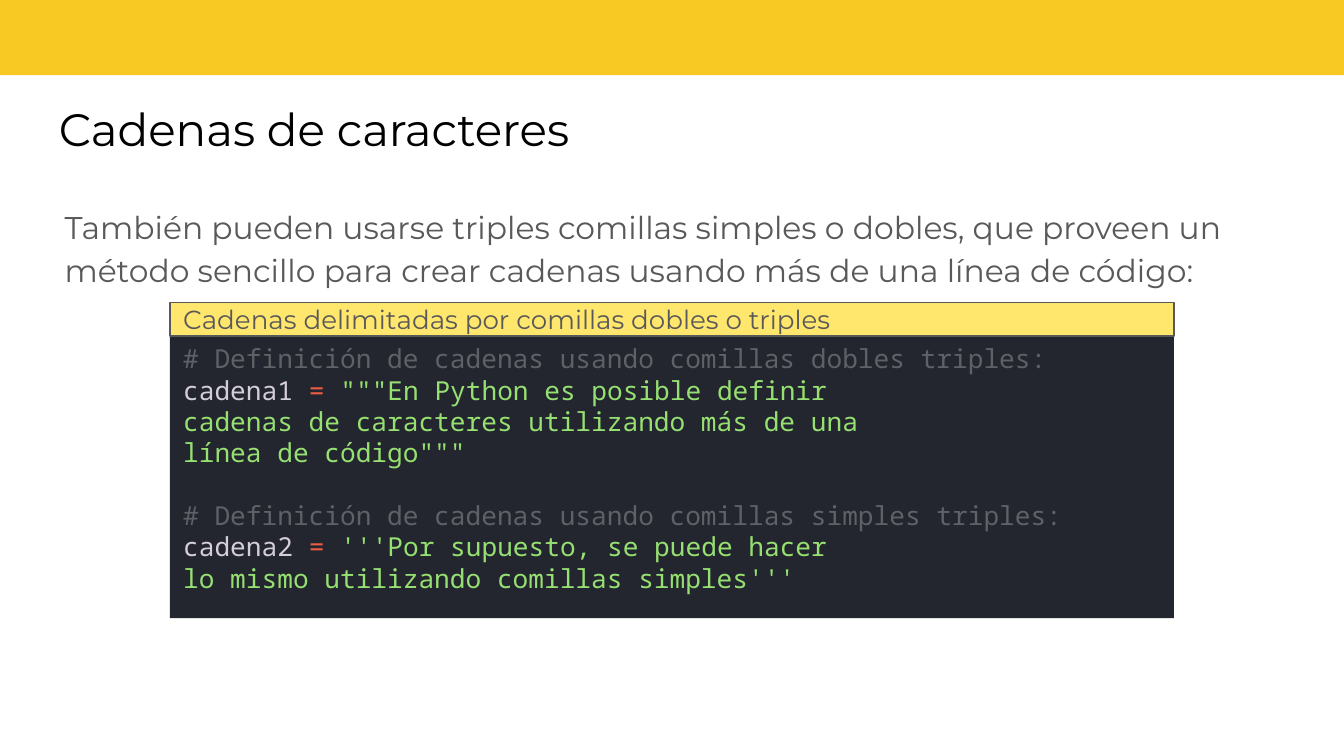
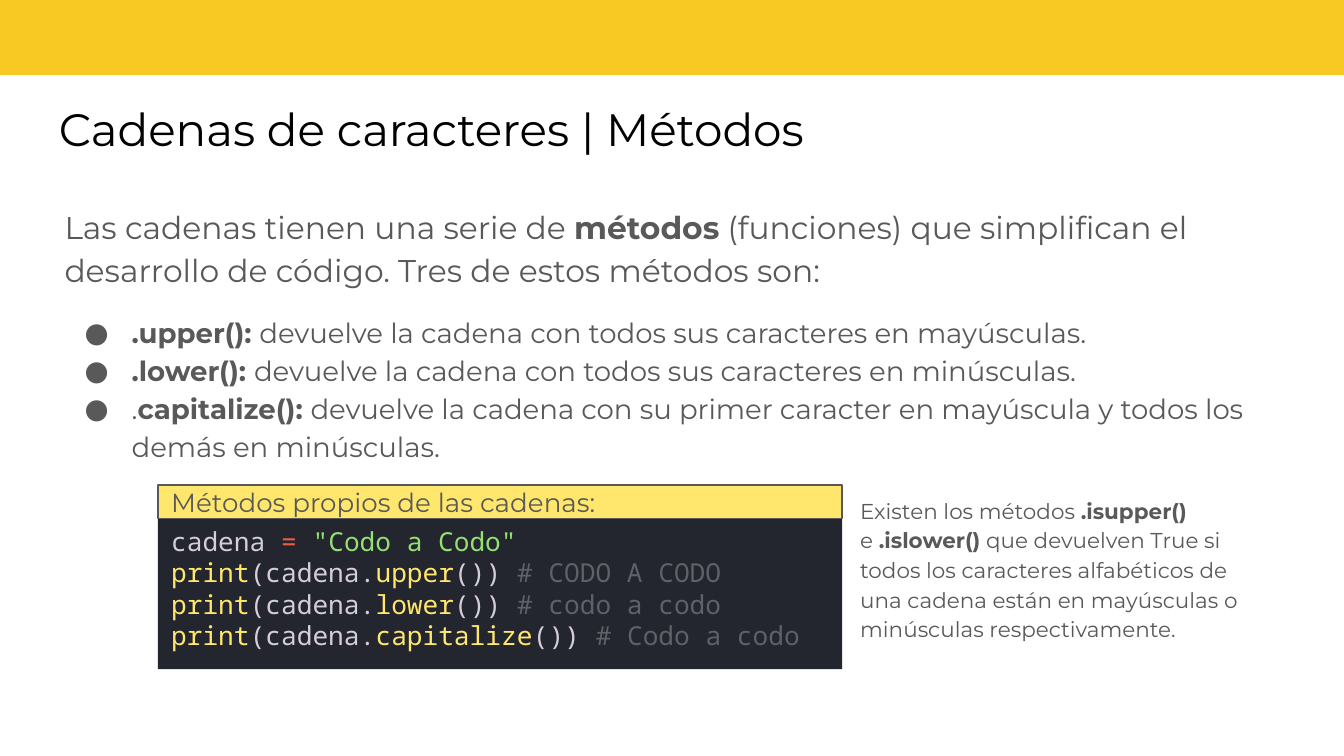
"""Build two lesson slides about Python strings."""
from dataclasses import dataclass
from typing import NamedTuple

from lxml import etree
from pptx import Presentation
from pptx import slide as sl
from pptx import util as u
from pptx.dml import color
from pptx.enum import shapes, text
from pptx.oxml import ns
from pptx.text import text as tx

PX = 4572


@dataclass(frozen=True)
class Theme:
    """Colours, fonts and type sizes of the lesson."""

    band: str = "F8C823"
    title: str = "000000"
    body: str = "595959"
    caption: str = "FFE66D"
    code: str = "23262E"
    comment: str = "5F6167"
    name: str = "D5CED9"
    operator: str = "EE5D43"
    string: str = "96E072"
    function: str = "FFE66D"
    sans: str = "Montserrat"
    mono: str = "Noto Sans Mono"
    title_size: float = 24.3
    body_size: float = 16.8
    bullet_size: float = 14.8
    code_size: float = 14
    note_size: float = 11.5
    leading: float = 1.15


THEME = Theme()


class Box(NamedTuple):
    """A place on the slide, in px."""

    left: int
    top: int
    width: int
    height: int


class Run(NamedTuple):
    """A stretch of text in one style."""

    words: str
    hue: str = THEME.body
    bold: bool = False


class Para(NamedTuple):
    """A paragraph with its size, font and spacing."""

    runs: list[Run]
    size: float
    font: str = THEME.sans
    leading: float | None = THEME.leading
    before: float = 0
    bullet: bool = False


class Listing(NamedTuple):
    """A captioned block of code."""

    caption: str
    box: Box
    lines: list[Para]


BAND = Box(-2, -10, 2006, 122)
TITLE = Box(68, 130, 1860, 126)
BODY = Box(96, 281, 1810, 716)
CAPTION_HEIGHT = 50


def px(length: int) -> u.Emu:
    """Turn px into EMU."""
    return u.Emu(length * PX)


def add_bullet(paragraph: tx._Paragraph) -> None:
    """Give a paragraph a hanging round bullet."""
    props = paragraph._p.get_or_add_pPr()
    props.set("marL", str(px(100)))
    props.set("indent", str(px(-70)))
    hue = etree.SubElement(props, ns.qn("a:buClr"))
    etree.SubElement(hue, ns.qn("a:srgbClr")).set("val", THEME.body)
    etree.SubElement(props, ns.qn("a:buFont")).set("typeface", THEME.sans)
    etree.SubElement(props, ns.qn("a:buChar")).set("char", "●")


def write(frame: tx.TextFrame, paras: list[Para], side: int, edge: int) -> None:
    """Fill a text frame run by run."""
    frame.word_wrap = True
    frame.margin_left = frame.margin_right = px(side)
    frame.margin_top = frame.margin_bottom = px(edge)
    for index, para in enumerate(paras):
        paragraph = frame.add_paragraph() if index else frame.paragraphs[0]
        if para.bullet:
            add_bullet(paragraph)
        paragraph.alignment = text.PP_ALIGN.LEFT
        paragraph.space_before = u.Pt(para.before)
        if para.leading:
            paragraph.line_spacing = para.leading
        for part in para.runs:
            run = paragraph.add_run()
            run.text = part.words
            run.font.name = para.font
            run.font.size = u.Pt(para.size)
            run.font.bold = part.bold
            run.font.color.rgb = color.RGBColor.from_string(part.hue)


def add_text(slide: sl.Slide, box: Box, paras: list[Para], side: int = 0) -> None:
    """Place free text."""
    write(slide.shapes.add_textbox(*map(px, box)).text_frame, paras, side, 20)


def add_panel(slide: sl.Slide, box: Box, fill: str, paras: list[Para],
              border: str | None = None, middle: bool = False) -> None:
    """Place a filled rectangle, with text if there is any."""
    panel = slide.shapes.add_shape(shapes.MSO_SHAPE.RECTANGLE, *map(px, box))
    panel.shadow.inherit = False
    panel.fill.solid()
    panel.fill.fore_color.rgb = color.RGBColor.from_string(fill)
    if border:
        panel.line.color.rgb = color.RGBColor.from_string(border)
        panel.line.width = u.Pt(0.75)
    else:
        panel.line.fill.background()
    anchor = text.MSO_ANCHOR.MIDDLE if middle else text.MSO_ANCHOR.TOP
    panel.text_frame.vertical_anchor = anchor
    write(panel.text_frame, paras, 20, 10)


def add_listing(slide: sl.Slide, listing: Listing) -> None:
    """Place a code block with its caption bar above."""
    box = listing.box
    add_panel(slide, box, THEME.code, listing.lines)
    bar = box._replace(top=box.top - CAPTION_HEIGHT, height=CAPTION_HEIGHT)
    caption = Para([Run(listing.caption)], THEME.code_size, leading=None)
    add_panel(slide, bar, THEME.caption, [caption], THEME.body, True)


def add_lesson(deck, title: str, body: list[Para], listing: Listing) -> sl.Slide:
    """Add a slide with band, title, body and code."""
    slide = deck.slides.add_slide(deck.slide_layouts[6])
    add_panel(slide, BAND, THEME.band, [])
    heading = Para([Run(title, THEME.title)], THEME.title_size, leading=None)
    add_text(slide, TITLE, [heading], side=20)
    add_text(slide, BODY, body)
    add_listing(slide, listing)
    return slide


def code(*runs: Run, before: float = 0) -> Para:
    """Make one line of code."""
    return Para(list(runs), THEME.code_size, THEME.mono, None, before)


def comment(words: str, before: float = 0) -> Para:
    """Make a line that is all comment."""
    return code(Run(words, THEME.comment), before=before)


def literal(words: str) -> Para:
    """Make a line that is all string."""
    return code(Run(words, THEME.string))


def assign(name: str, value: str) -> Para:
    """Make a line that assigns a string."""
    return code(Run(f"{name} ", THEME.name), Run("=", THEME.operator),
                Run(" ", THEME.name), Run(value, THEME.string))


def print_call(method: str, result: str) -> Para:
    """Make a line that prints the outcome of a string method."""
    return code(Run("print", THEME.function), Run("(cadena.", THEME.name),
                Run(method, THEME.function), Run("()) ", THEME.name),
                Run(f"# {result}", THEME.comment))


def method_item(runs: list[Run], meaning: str, before: float = 0) -> Para:
    """Make a bullet that explains a method."""
    return Para([*runs, Run(f"devuelve la cadena con {meaning}")],
                THEME.bullet_size, before=before, bullet=True)


def add_triple_quotes(deck) -> None:
    """Add the slide on triple quotes."""
    intro = Para([Run("También pueden usarse triples comillas simples o dobles, que proveen "
                      "un método sencillo para crear cadenas usando más de una línea de "
                      "código:")], THEME.body_size)
    lines = [
        comment("# Definición de cadenas usando comillas dobles triples:"),
        assign("cadena1", '"""En Python es posible definir'),
        literal("cadenas de caracteres utilizando más de una"),
        literal('línea de código"""'),
        comment("# Definición de cadenas usando comillas simples triples:", before=16.8),
        assign("cadena2", "'''Por supuesto, se puede hacer"),
        literal("lo mismo utilizando comillas simples'''"),
    ]
    add_lesson(deck, "Cadenas de caracteres", [intro],
               Listing("Cadenas delimitadas por comillas dobles o triples",
                       Box(253, 500, 1494, 420), lines))


def add_methods(deck) -> None:
    """Add the slide on string methods."""
    body = [
        Para([Run("Las cadenas tienen una serie de "), Run("métodos", bold=True),
              Run(" (funciones) que simplifican el desarrollo de código. "
                  "Tres de estos métodos son:")], THEME.body_size),
        method_item([Run(".upper(): ", bold=True)],
                    "todos sus caracteres en mayúsculas.", before=12),
        method_item([Run(".lower(): ", bold=True)],
                    "todos sus caracteres en minúsculas."),
        method_item([Run("."), Run("capitalize(): ", bold=True)],
                    "su primer caracter en mayúscula y todos los demás en minúsculas."),
    ]
    lines = [
        assign("cadena", '"Codo a Codo"'),
        print_call("upper", "CODO A CODO"),
        print_call("lower", "codo a codo"),
        print_call("capitalize", "Codo a codo"),
    ]
    slide = add_lesson(deck, "Cadenas de caracteres | Métodos", body,
                       Listing("Métodos propios de las cadenas:",
                               Box(235, 772, 1018, 224), lines))
    note = Para([Run("Existen los métodos "), Run(".isupper()", bold=True), Run(" e "),
                 Run(".islower()", bold=True),
                 Run(" que devuelven True si todos los caracteres alfabéticos de una cadena "
                     "están en mayúsculas o minúsculas respectivamente.")], THEME.note_size)
    add_text(slide, Box(1280, 715, 616, 308), [note])


def main() -> None:
    """Build and save the deck."""
    deck = Presentation()
    deck.slide_width, deck.slide_height = px(2000), px(1125)
    add_triple_quotes(deck)
    add_methods(deck)
    deck.save("out.pptx")


if __name__ == "__main__":
    main()
